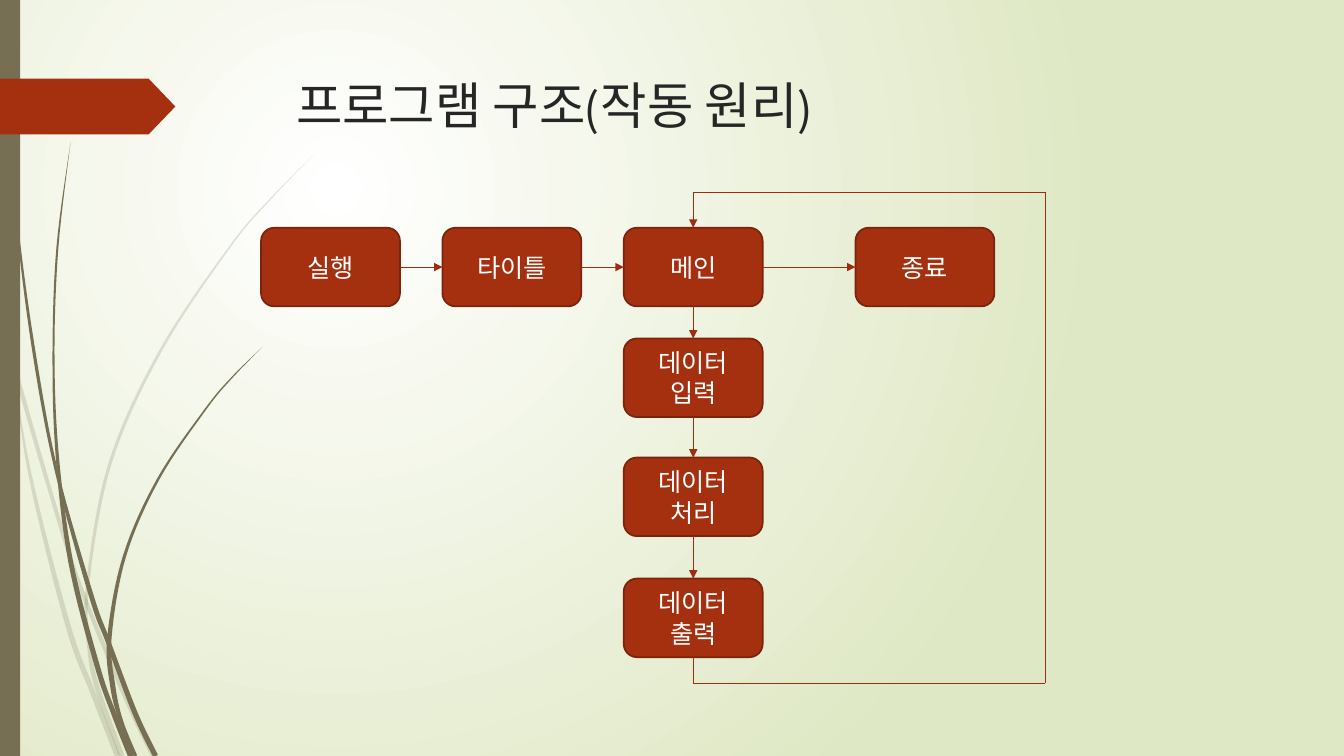
from math import hypot

from lxml.etree import SubElement
from pptx import Presentation
from pptx.dml.color import RGBColor
from pptx.enum.shapes import MSO_CONNECTOR as LINE, MSO_SHAPE as SHAPE
from pptx.enum.text import MSO_ANCHOR as ANCHOR, PP_ALIGN as ALIGN
from pptx.oxml.ns import qn
from pptx.util import Cm, Pt

COLORS = {
    "white": "FFFFFF", "pale_green": "DFE8C4", "olive": "766F54",
    "red": "A53010", "border": "7A240C", "arrow": "9E2E0F", "title": "262626",
}
FONT = "League Spartan"
WIDTH, HEIGHT = 33.87, 19.05
BOX_W, BOX_H = 3.5, 1.98
TOP, LEFT, BOTTOM, RIGHT = range(4)  # connection sites of a box

# Stems as (x, y, thickness) in cm, from tip to root
PALE_STEMS = [
    [(0, 7.37, .05), (.38, 9.27, .1), (1.52, 13.23, .1), (2.13, 15.06, .1),
     (3.18, 17.6, .12), (3.87, 19.05, .13)],
    [(.28, 8.89, 0), (.75, 11.93, .08), (1.71, 15.75, .13), (2.35, 17.48, .13),
     (2.96, 19.05, .13)],
    [(7.92, 3.89, 0), (6.81, 5.02, .03), (5.8, 6.21, .04), (4.04, 8.85, .07),
     (2.76, 11.72, .08), (2.2, 14.83, .08), (2.26, 16.41, .1),
     (2.49, 17.45, .13), (3.07, 19.05, .13)],
]
DARK_STEMS = [
    [(.09, 0, .03), (.19, 2.79, .03), (.46, 5.91, .05), (.88, 9.02, .08),
     (1.42, 11.86, .08), (2.3, 15.01, .12), (2.74, 16.21, .12),
     (3.4, 17.96, .13), (3.92, 19.05, .13)],
    [(1.78, 3.58, 0), (1.45, 6.22, .05), (1.35, 8.86, .05), (1.44, 11.43, .08),
     (1.78, 14.14, .12), (2.43, 16.71, .13), (2.87, 17.98, .13),
     (3.34, 19.05, .22)],
    [(6.62, 8.74, 0), (5.87, 9.49, .03), (5.19, 10.3, .04), (3.99, 12.07, .06),
     (3.14, 14.01, .08), (2.76, 16.05, .11), (2.84, 17.27, .13),
     (3.05, 18.16, .1), (3.42, 19.05, .08)],
]


def rgb(name):
    return RGBColor.from_string(COLORS[name])


def add_text(tf, text, size, color, align=ALIGN.LEFT, anchor=ANCHOR.TOP):
    tf.word_wrap = True
    tf.vertical_anchor = anchor
    p = tf.paragraphs[0]
    p.alignment = align
    r = p.add_run()
    r.text = text
    r.font.name = FONT
    r.font.size = Pt(size)
    r.font.color.rgb = rgb(color)


def paint(sp, fill, line=None, alpha=None):
    sp.shadow.inherit = False
    sp.fill.solid()
    sp.fill.fore_color.rgb = rgb(fill)
    if alpha:
        clr = sp.fill._xPr.find(".//" + qn("a:srgbClr"))
        SubElement(clr, qn("a:alpha"), val=str(alpha * 1000))
    if line:
        sp.line.color.rgb = rgb(line)
        sp.line.width = Pt(1.25)
    else:
        sp.line.fill.background()


def smooth(points, steps=8):
    """Catmull-Rom curve through the points."""
    ends = [points[0], *points, points[-1]]
    curve = []
    for a, b, c, d in zip(ends, ends[1:], ends[2:], ends[3:]):
        for i in range(steps):
            t = i / steps
            curve.append([
                q + t * (r - p) / 2 + t**2 * (2 * p - 5 * q + 4 * r - s) / 2
                + t**3 * (3 * q - p - 3 * r + s) / 2
                for p, q, r, s in zip(a, b, c, d)])
    return curve + [points[-1]]


def add_stem(sl, left, top, points, alpha=None):
    curve = smooth(points)
    before, after = curve[:1] + curve[:-1], curve[1:] + curve[-1:]
    one_side, other_side = [], []
    for (x0, y0, _), (x, y, w), (x1, y1, _) in zip(before, curve, after):
        dx, dy = x1 - x0, y1 - y0
        k = w / 2 / hypot(dx, dy)
        one_side.append((Cm(left + x - dy * k), Cm(top + y + dx * k)))
        other_side.append((Cm(left + x + dy * k), Cm(top + y - dx * k)))
    outline = one_side + other_side[::-1]
    fb = sl.shapes.build_freeform(*outline[0])
    fb.add_line_segments(outline[1:])
    paint(fb.convert_to_shape(), "olive", alpha=alpha)


def add_background(sl):
    fill = sl.background.fill
    fill.gradient()
    for stop, name in zip(fill.gradient_stops, ("white", "pale_green")):
        stop.color.rgb = rgb(name)
    grad = sl.element.find(".//" + qn("a:gradFill"))
    grad.remove(grad.find(qn("a:lin")))
    circle = SubElement(grad, qn("a:path"), path="circle")
    SubElement(circle, qn("a:fillToRect"),
               l="50000", t="50000", r="100000", b="100000")


def add_decoration(sl, left, top, height):
    for points in PALE_STEMS:
        add_stem(sl, left, top, points, alpha=20)
    for points in DARK_STEMS:
        add_stem(sl, left, top, points)
    # Side bar and title tag
    bar = sl.shapes.add_shape(SHAPE.RECTANGLE, Cm(left), Cm(top), Cm(.51), Cm(height))
    paint(bar, "olive")
    tag = sl.shapes.add_shape(SHAPE.PENTAGON, Cm(left), Cm(top + 1.98), Cm(4.42), Cm(1.41))
    tag.adjustments[0] = .48
    paint(tag, "red")


def add_title(sl, left, top, width, height):
    sp = sl.shapes.title
    sp.left, sp.top, sp.width, sp.height = map(Cm, (left, top, width, height))
    add_text(sp.text_frame, "프로그램 구조(작동 원리)", size=36, color="title")


def add_box(sl, left, top, text):
    sp = sl.shapes.add_shape(SHAPE.FLOWCHART_ALTERNATE_PROCESS,
                             Cm(left), Cm(top), Cm(BOX_W), Cm(BOX_H))
    paint(sp, "red", line="border")
    add_text(sp.text_frame, text, size=18, color="white",
             align=ALIGN.CENTER, anchor=ANCHOR.MIDDLE)
    return sp


def add_line(sl, begin=(0, 0), end=(0, 0), start=None, target=None, arrow=False):
    """Line between two points; start and target are (box, site) to glue to."""
    c = sl.shapes.add_connector(LINE.STRAIGHT, *map(Cm, (*begin, *end)))
    if start:
        c.begin_connect(*start)
    if target:
        c.end_connect(*target)
    c.line.color.rgb = rgb("arrow")
    c.line.width = Pt(.75)
    if arrow:
        SubElement(c.line._get_or_add_ln(), qn("a:tailEnd"), type="triangle")
    SubElement(c._element.spPr, qn("a:effectLst"))


def add_flowchart(sl, left, top, width, height):
    row_y, main_x = top + .89, left + 9.14
    # Steps across and down
    row = [add_box(sl, left + dx, row_y, text) for dx, text in
           ((0, "실행"), (4.57, "타이틀"), (9.14, "메인"), (14.98, "종료"))]
    main = row[2]
    column = [main] + [add_box(sl, main_x, row_y + dy, text) for dy, text in
                       ((2.79, "데이터 입력"), (5.79, "데이터 처리"), (8.84, "데이터 출력"))]
    for steps, out, into in ((row, RIGHT, LEFT), (column, BOTTOM, TOP)):
        for a, b in zip(steps, steps[1:]):
            add_line(sl, start=(a, out), target=(b, into), arrow=True)
    # Loop back to the main step
    x, right, bottom = main_x + BOX_W / 2, left + width, top + height
    add_line(sl, end=(x, bottom), start=(column[-1], BOTTOM))
    corners = [(x, bottom), (right, bottom), (right, top), (x, top)]
    for a, b in zip(corners, corners[1:]):
        add_line(sl, a, b)
    add_line(sl, begin=(x, top), target=(main, TOP), arrow=True)


def main():
    prs = Presentation()
    prs.slide_width, prs.slide_height = Cm(WIDTH), Cm(HEIGHT)
    sl = prs.slides.add_slide(prs.slide_layouts[5])
    add_background(sl)
    add_decoration(sl, 0, 0, HEIGHT)
    add_title(sl, 7.21, 1.73, 24.77, 3.56)
    add_flowchart(sl, 6.58, 4.85, 19.76, 12.37)
    prs.save("out.pptx")


if __name__ == "__main__":
    main()
